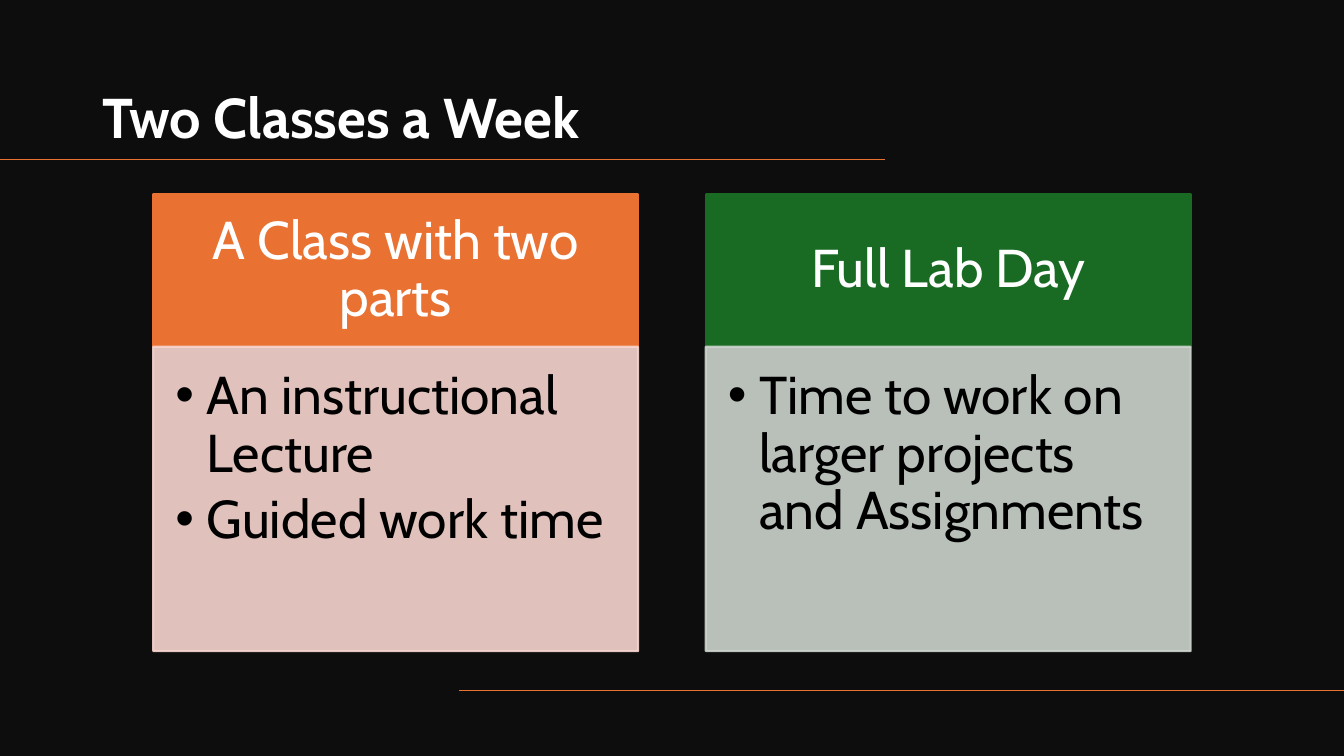
from lxml import etree
from pptx import Presentation
from pptx.dml.color import RGBColor
from pptx.enum.shapes import MSO_CONNECTOR, MSO_SHAPE
from pptx.enum.text import MSO_ANCHOR as Anchor, PP_ALIGN as Align
from pptx.oxml.ns import qn
from pptx.util import Inches, Pt

BLACK = RGBColor(0x00, 0x00, 0x00)
WHITE = RGBColor(0xFF, 0xFF, 0xFF)
NIGHT = RGBColor(0x0D, 0x0D, 0x0D)
ORANGE = RGBColor(0xE9, 0x71, 0x32)
GREEN = RGBColor(0x19, 0x6B, 0x24)
PINK = RGBColor(0xF7, 0xD5, 0xCE)
SAGE = RGBColor(0xCC, 0xD4, 0xCD)

# Content
TITLE = "Two Classes a Week"
CLASSES = [
    ("A Class with two parts", ["An instructional Lecture", "Guided work time"],
     ORANGE, PINK),
    ("Full Lab Day", ["Time to work on larger projects and Assignments"],
     GREEN, SAGE),
]

# Layout, in inches
SLIDE_W, SLIDE_H = 13.33, 7.5
RULE_W = 8.78
RULES = [(0, 1.58), (SLIDE_W - RULE_W, 6.85)]
COLUMN_LEFT, COLUMN_W, COLUMN_STEP = 1.52, 4.81, 5.48
HEADER_TOP, HEADER_H = 1.93, 1.51
BODY_TOP, BODY_H = HEADER_TOP + HEADER_H, 2 * HEADER_H
BULLET_INDENT = Inches(0.31)


def add_box(left, top, width, height, fill, opacity=100):
    box = slide.shapes.add_shape(MSO_SHAPE.RECTANGLE, Inches(left), Inches(top),
                                 Inches(width), Inches(height))
    box.shadow.inherit = False
    box.fill.solid()
    box.fill.fore_color.rgb = fill
    box.line.color.rgb = fill
    box.line.width = Pt(1.5)
    if opacity < 100:
        for color in box._element.spPr.iter(qn("a:srgbClr")):
            etree.SubElement(color, qn("a:alpha"), val=str(opacity * 1000))
    return box


def write(box, lines, size, color, align, anchor, insets, bold=False, bullets=False):
    frame = box.text_frame
    frame.word_wrap = True
    frame.vertical_anchor = anchor
    (frame.margin_left, frame.margin_top,
     frame.margin_right, frame.margin_bottom) = map(Inches, insets)
    frame.text = "\n".join(lines)
    for para in frame.paragraphs:
        para.alignment = align
        para.line_spacing = 0.9
        if bullets:
            para.space_after = Pt(6)
            props = para._p.get_or_add_pPr()
            props.set("marL", str(BULLET_INDENT))
            props.set("indent", str(-BULLET_INDENT))
            etree.SubElement(props, qn("a:buFont"), typeface="Arial")
            etree.SubElement(props, qn("a:buChar"), char="•")
        for span in para.runs:
            span.font.name = "Cabin"
            span.font.size = Pt(size)
            span.font.bold = bold
            span.font.color.rgb = color


deck = Presentation()
deck.slide_width, deck.slide_height = Inches(SLIDE_W), Inches(SLIDE_H)
slide = deck.slides.add_slide(deck.slide_layouts[6])

# Backdrop and title
backdrop = add_box(0, 0, SLIDE_W, SLIDE_H, NIGHT)
backdrop.line.fill.background()
title = slide.shapes.add_textbox(Inches(0.92), Inches(0.42), Inches(7.86), Inches(1.12))
write(title, [TITLE], 40, WHITE, Align.LEFT, Anchor.BOTTOM,
      (0.1, 0.05, 0.1, 0.05), bold=True)

# Orange rules
for left, top in RULES:
    rule = slide.shapes.add_connector(MSO_CONNECTOR.STRAIGHT, Inches(left + RULE_W),
                                      Inches(top), Inches(left), Inches(top))
    rule.line.color.rgb = ORANGE
    rule.line.width = Pt(1)
    etree.SubElement(rule._element.spPr, qn("a:effectLst"))

# Class columns
for column, (heading, points, strong, pale) in enumerate(CLASSES):
    left = COLUMN_LEFT + column * COLUMN_STEP
    header = add_box(left, HEADER_TOP, COLUMN_W, HEADER_H, strong)
    write(header, [heading], 38, WHITE, Align.CENTER, Anchor.MIDDLE,
          (0.3, 0.17, 0.3, 0.17))
    body = add_box(left, BODY_TOP, COLUMN_W, BODY_H, pale, opacity=90)
    write(body, points, 38, BLACK, Align.LEFT, Anchor.TOP,
          (0.22, 0.22, 0.3, 0.33), bullets=True)

deck.save("out.pptx")
